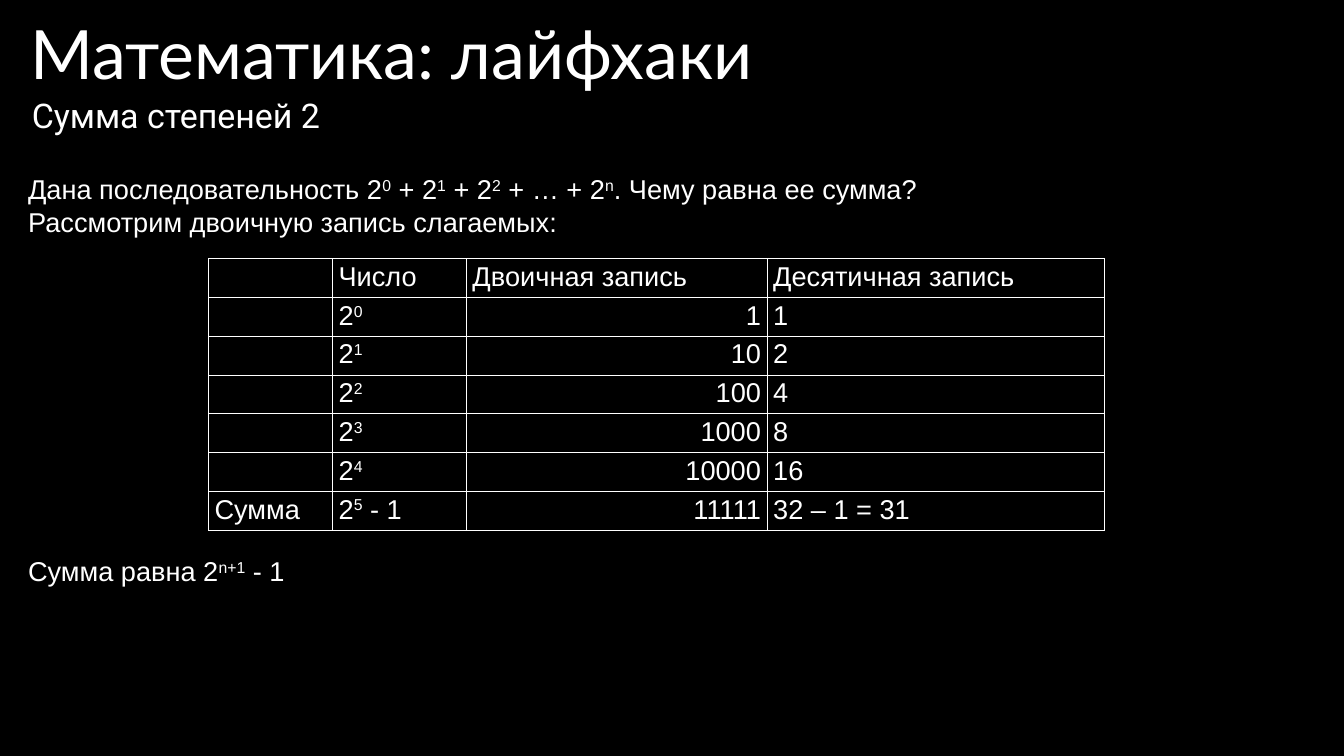
from lxml.etree import SubElement
from pptx import Presentation
from pptx.dml.color import RGBColor
from pptx.enum.text import PP_ALIGN
from pptx.oxml.ns import qn
from pptx.util import Inches, Pt

COLORS = {"background": "000000", "text": "FFFFFF", "border": "FFFFFF"}


def write(frame, text, font="Arial", size=32, align=PP_ALIGN.LEFT, spacing=1.0, indent=0):
    frame.word_wrap = True
    for index, line in enumerate(text.split("\n")):
        para = frame.paragraphs[0] if index == 0 else frame.add_paragraph()
        para.alignment = align
        para.line_spacing = spacing
        if indent:
            para._p.get_or_add_pPr().set("indent", str(Inches(indent)))
        for position, part in enumerate(line.split("^")):
            if not part:
                continue
            span = para.add_run()
            span.text = part
            span.font.name = font
            span.font.size = Pt(size)
            span.font.color.rgb = RGBColor.from_string(COLORS["text"])
            if position % 2:
                span.font._element.set("baseline", "30000")


def add_border(cell):
    properties = cell._tc.get_or_add_tcPr()
    for side in ("a:lnL", "a:lnR", "a:lnT", "a:lnB"):
        line = SubElement(properties, qn(side), w=str(Pt(1)))
        fill = SubElement(line, qn("a:solidFill"))
        SubElement(fill, qn("a:srgbClr"), val=COLORS["border"])


deck = Presentation()
deck.slide_width = Pt(1583)
deck.slide_height = Pt(890)
page = deck.slides.add_slide(deck.slide_layouts[6])
page.background.fill.solid()
page.background.fill.fore_color.rgb = RGBColor.from_string(COLORS["background"])

heading = {"font": "Lato", "size": 80, "spacing": 0.9}
subheading = {"font": "Roboto", "size": 40, "spacing": 0.9}
body = {"indent": 0.01}
question = "Дана последовательность 2^0^ + 2^1^ + 2^2^ + … + 2^n^. Чему равна ее сумма?"
texts = [
    ("Математика: лайфхаки", (0.5, 0.34, 15.89, 1.31), heading),
    (question + "\nРассмотрим двоичную запись слагаемых:", (0.45, 2.82, 18.33, 2.29), body),
    ("Сумма степеней 2", (0.52, 1.62, 14.07, 0.89), subheading),
    ("Сумма равна 2^n+1^ - 1", (0.45, 9.07, 18.33, 1.82), body),
]
for text, place, style in texts:
    box = page.shapes.add_textbox(*(Inches(length) for length in place))
    frame = box.text_frame
    frame.margin_left = frame.margin_right = frame.margin_top = frame.margin_bottom = 0
    write(frame, text, **style)

powers = range(5)
rows = [("", "Число", "Двоичная запись", "Десятичная запись")]
rows += [("", f"2^{power}^", f"{2 ** power:b}", str(2 ** power)) for power in powers]
rows.append(("Сумма", "2^5^ - 1", "11111", "32 – 1 = 31"))
widths = [2.03, 2.19, 4.92, 5.52]
holder = page.shapes.add_table(
    len(rows), len(widths), Inches(3.41), Inches(4.23), Inches(sum(widths)), Inches(4.43)
)
table = holder.table
table.first_row = table.horz_banding = False
for column, width in zip(table.columns, widths):
    column.width = Inches(width)
for row_index, row in enumerate(rows):
    for column_index, text in enumerate(row):
        cell = table.cell(row_index, column_index)
        add_border(cell)
        cell.fill.background()
        binary_value = row_index > 0 and column_index == 2
        write(cell.text_frame, text, align=PP_ALIGN.RIGHT if binary_value else PP_ALIGN.LEFT)

deck.save("out.pptx")
